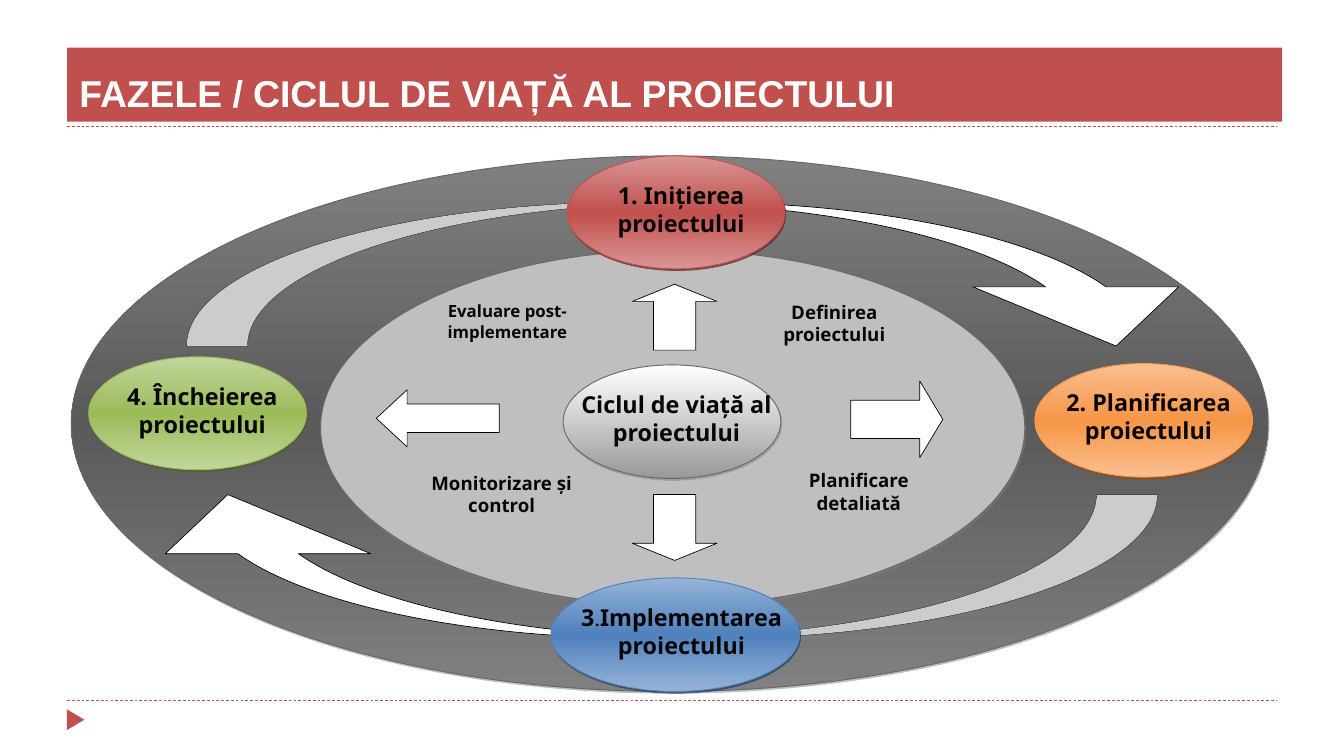
from lxml.etree import SubElement
from pptx import Presentation
from pptx.dml.color import RGBColor
from pptx.enum.dml import MSO_LINE
from pptx.enum.shapes import MSO_CONNECTOR, MSO_SHAPE
from pptx.enum.text import MSO_ANCHOR, PP_ALIGN
from pptx.oxml.ns import qn
from pptx.util import Inches, Pt

THEME = {
    "accent": "C0504D", "white": "FFFFFF", "black": "000000", "ink": "080605",
    "edge": "666666", "shade": "7F7F7F", "disc": "BFBFBF", "tail": "CCCCCC",
    "ring": ["808080", "5A5A5A", "808080"], "core": ["FFFFFF", "999999"],
    "red": ["D99594", "C0504D", "D99594"], "orange": ["FABF8F", "F79646", "FABF8F"],
    "blue": ["95B3D7", "4F81BD", "95B3D7"], "green": ["C2D69B", "9BBB59", "C2D69B"],
    "title": 40, "phase": 25, "note": 20, "small note": 18,
    "heading font": "Arial", "body font": "Noto Sans", "dot font": "Times New Roman",
}


def paint(shape, fill, line=None, width=0.75):
    shape.shadow.inherit = False
    if isinstance(fill, list):
        shape.fill.gradient()
        shape.fill.gradient_angle = 270
        stops = shape._element.spPr.find(qn("a:gradFill")).find(qn("a:gsLst"))
        for stop in list(stops):
            stops.remove(stop)
        for index, color in enumerate(fill):
            stop = SubElement(stops, qn("a:gs"), pos=str(100000 * index // (len(fill) - 1)))
            SubElement(stop, qn("a:srgbClr"), val=color)
    elif fill:
        shape.fill.solid()
        shape.fill.fore_color.rgb = RGBColor.from_string(fill)
    else:
        shape.fill.background()
    if line:
        shape.line.color.rgb = RGBColor.from_string(line)
        shape.line.width = Pt(width)
    else:
        shape.line.fill.background()


def write(shape, spans, size, color, frame_format, align):
    frame = shape.text_frame
    for name, value in frame_format.items():
        setattr(frame, name, value)
    para = frame.paragraphs[0]
    para.alignment = align
    for text, font, bold in spans:
        span = para.add_run()
        span.text = text
        span.font.color.rgb = RGBColor.from_string(color)
        for name, value in {"name": font, "size": Pt(size), "bold": bold}.items():
            setattr(span.font, name, value)
    return para


deck = Presentation()
deck.slide_width, deck.slide_height = Inches(20), Inches(11.25)
page = deck.slides.add_slide(deck.slide_layouts[6])
shapes = page.shapes

for y in (10.42, 1.88):
    rule = shapes.add_connector(MSO_CONNECTOR.STRAIGHT, Inches(1), Inches(y), Inches(19), Inches(y))
    rule.line.color.rgb = RGBColor.from_string(THEME["accent"])
    rule.line.width = Pt(0.75)
    rule.line.dash_style = MSO_LINE.DASH
    SubElement(rule._element.spPr, qn("a:effectLst"))

marker = shapes.add_shape(MSO_SHAPE.ISOSCELES_TRIANGLE, Inches(0.97), Inches(10.58), Inches(0.31), Inches(0.26))
marker.rotation = 90
paint(marker, THEME["accent"])

arrow_outline = [
    (2.78, 5.15), (2.78, 3.97, 5.78, 3.01, 9.47, 3.01), (10.37, 3.01),
    (12.99, 3.01, 15.38, 3.5, 16.46, 4.27), (17.54, 4.27), (16.61, 5.15),
    (14.48, 4.27), (15.56, 4.27), (14.54, 3.55, 12.38, 3.07, 9.92, 3.02),
    (6.41, 3.09, 3.68, 4.03, 3.68, 5.15), (2.78, 5.15),
]
seam_outline = [(9.47, 3.01), (9.62, 3.01, 9.77, 3.01, 9.92, 3.02)]
tail_outline = arrow_outline[:2] + seam_outline[1:] + arrow_outline[-2:]
curved_arrow = [
    (arrow_outline, THEME["white"], THEME["black"]),
    (tail_outline, THEME["tail"], None),
    (seam_outline, None, THEME["black"]),
]

body, dot = THEME["body font"], THEME["dot font"]
ovals = [
    (1.06, 2.32, 17.81, 7.97, "ring", THEME["edge"], THEME["shade"], 50),
    (4.77, 3.72, 10.48, 5.29, "disc", THEME["edge"], THEME["shade"], 50),
    (15.4, 5.41, 3.24, 1.69, "orange", THEME["orange"][1], "974706", 75),
    (1.32, 5.31, 3.24, 1.68, "green", THEME["green"][1], "4E6128", 75),
    (8.44, 2.32, 3.24, 1.68, "red", THEME["red"][1], "622423", 75),
    (8.2, 8.6, 3.7, 1.69, "blue", THEME["blue"][1], "243F60", 75),
    (8.38, 5.43, 3.24, 1.69, "core", THEME["edge"], THEME["shade"], 50),
]
for left, top, width, height, fill, line, shade, opacity in ovals:
    if fill in ("red", "blue"):
        for outline, color, edge in curved_arrow:
            points = [pair for segment in outline for pair in zip(segment[::2], segment[1::2])]
            if fill == "blue":
                points = [(20 - x, 12.51 - y) for x, y in points]
            points = [(Inches(x), Inches(y)) for x, y in points]
            builder = shapes.build_freeform(*points[0])
            builder.add_line_segments(points[1:], close=color is not None)
            curve = builder.convert_to_shape()
            geometry = curve._element.find(".//" + qn("a:path"))
            strokes = iter(geometry.findall(qn("a:lnTo")))
            for segment in outline[1:]:
                stroke = next(strokes)
                if len(segment) == 6:
                    stroke.tag = qn("a:cubicBezTo")
                    for _ in range(2):
                        control = next(strokes)
                        stroke.append(control[0])
                        geometry.remove(control)
            paint(curve, color, edge)
    oval = shapes.add_shape(MSO_SHAPE.OVAL, Inches(left), Inches(top), Inches(width), Inches(height))
    paint(oval, THEME[fill], line, 1)
    effects = oval._element.spPr.find(qn("a:effectLst"))
    shadow = SubElement(effects, qn("a:outerShdw"), blurRad="0", dist=str(Pt(2)), dir=str(63 * 60000), rotWithShape="0")
    tint = SubElement(shadow, qn("a:srgbClr"), val=shade)
    SubElement(tint, qn("a:alpha"), val=str(opacity * 1000))

block_arrows = [
    (MSO_SHAPE.DOWN_ARROW, 9.41, 7.36, 1.26, 0.98, 0.26),
    (MSO_SHAPE.UP_ARROW, 9.41, 4.23, 1.26, 0.98, 0.26),
    (MSO_SHAPE.RIGHT_ARROW, 12.66, 5.67, 1.37, 1.14, 0.3),
    (MSO_SHAPE.LEFT_ARROW, 5.6, 5.8, 1.83, 0.85, 0.54),
]
for kind, left, top, width, height, head in block_arrows:
    arrow = shapes.add_shape(kind, Inches(left), Inches(top), Inches(width), Inches(height))
    arrow.adjustments[0], arrow.adjustments[1] = 0.5, head
    paint(arrow, THEME["white"], THEME["black"])

labels = [
    (15.53, 5.78, 3.08, 0.71, "phase", [("2. Planificarea proiectului", body, True)]),
    (1.45, 5.68, 3.08, 0.71, "phase", [("4. Încheierea proiectului", body, True)]),
    (8.57, 2.69, 3.09, 0.71, "phase", [("1. Inițierea proiectului", body, True)]),
    (8.23, 8.97, 3.78, 0.75, "phase",
     [("3", body, True), (".", dot, False), ("Implementarea proiectului", body, True)]),
    (8.5, 5.8, 3.09, 0.71, "phase", [("Ciclul de viață al proiectului", body, True)]),
    (11.09, 4.47, 2.61, 0.54, "note", [("Definirea proiectului", body, True)]),
    (11.44, 6.98, 2.64, 0.54, "note", [("Planificare detaliată", body, True)]),
    (5.82, 7.02, 3.25, 0.54, "note", [("Monitorizare și control", body, True)]),
    (5.81, 4.48, 3.44, 0.62, "small note", [("Evaluare post- implementare", body, True)]),
]
label_format = {
    "word_wrap": True, "vertical_anchor": MSO_ANCHOR.TOP, "margin_left": 0,
    "margin_top": 0, "margin_right": Inches(0.04), "margin_bottom": 0,
}
for left, top, width, height, size, spans in labels:
    box = shapes.add_textbox(Inches(left), Inches(top), Inches(width), Inches(height))
    para = write(box, spans, THEME[size], THEME["ink"], label_format, PP_ALIGN.CENTER)
    para._p.get_or_add_pPr().set("marL", str(Inches(0.08)))

banner = shapes.add_shape(MSO_SHAPE.RECTANGLE, Inches(1), Inches(0.71), Inches(18.08), Inches(1.1))
paint(banner, THEME["accent"])
banner_format = {
    "word_wrap": True, "vertical_anchor": MSO_ANCHOR.BOTTOM, "margin_left": Inches(0.18),
    "margin_top": Inches(0.09), "margin_right": Inches(0.18), "margin_bottom": Inches(0.1),
}
title = [("FAZELE / CICLUL DE VIAȚĂ AL PROIECTULUI", THEME["heading font"], True)]
write(banner, title, THEME["title"], THEME["white"], banner_format, PP_ALIGN.LEFT)

deck.save("out.pptx")
